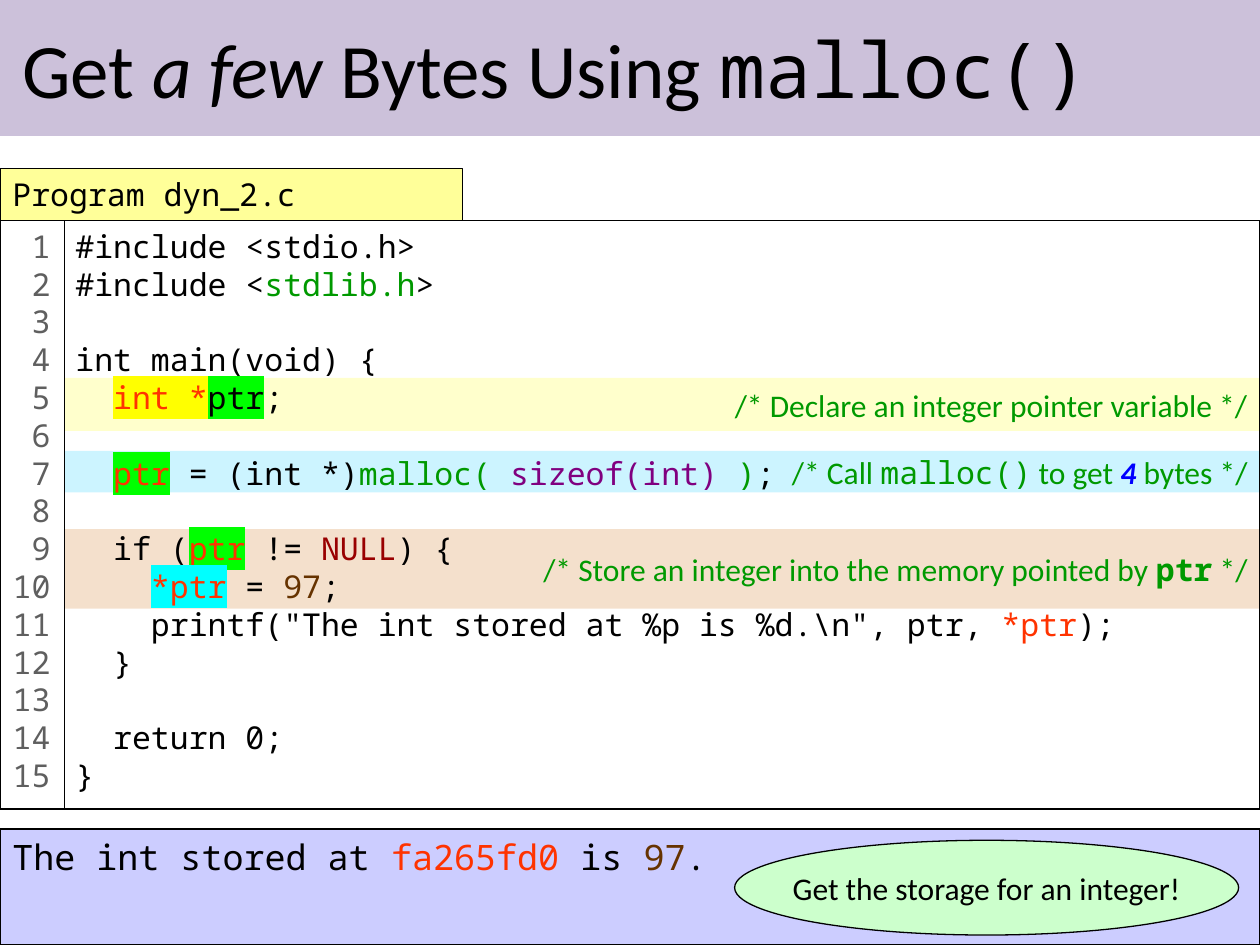
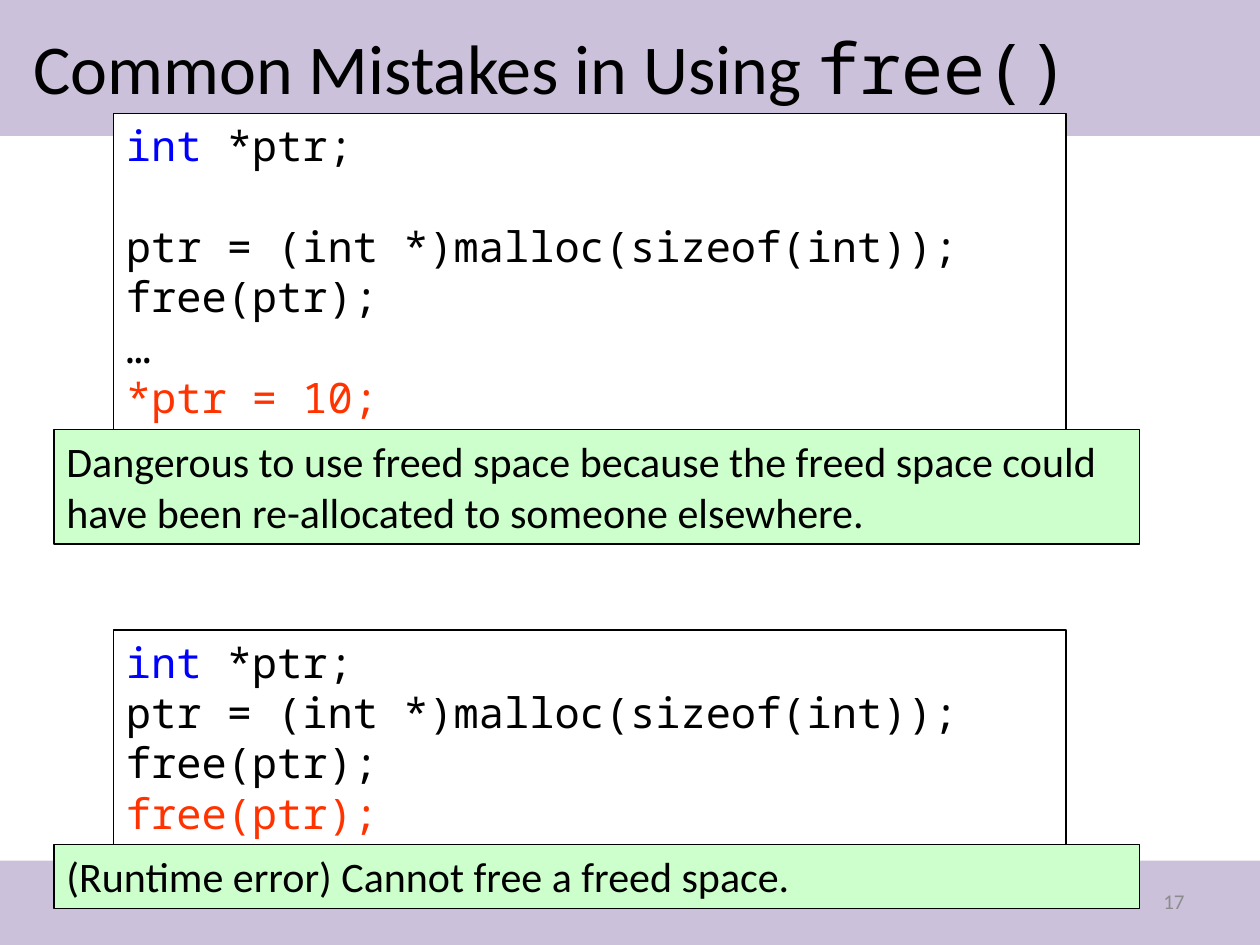
from pptx import Presentation
from pptx.util import Cm, Pt
from pptx.dml.color import RGBColor as Rgb
from pptx.enum.shapes import MSO_SHAPE as Kind
from pptx.enum.text import MSO_ANCHOR as Anchor, PP_ALIGN as Align
from pptx.oxml.ns import qn
from lxml.etree import Element, SubElement

COLORS = {
    "ink": "000000", "paper": "FFFFFF", "band": "CCC1DA", "green": "009900",
    "red": "FF3300", "blue": "0000FF", "purple": "800080", "maroon": "990000",
    "brown": "663300", "gray": "5F5F5F", "pale_gray": "8C8C8C",
    "yellow": "FFFF00", "lime": "00FF00", "aqua": "00FFFF", "sky": "00CCFF",
    "orange": "CC6600", "file_tab": "FFFF99", "output": "CCCDFF", "note": "CCFFCC",
}
SANS = {"name": "Calibri", "size": Pt(18), "color": "ink"}
MONO = {**SANS, "name": "Noto Sans Mono"}
MONO_FACE = {"name": MONO["name"]}
COMMENT = {**SANS, "color": "green"}
BIG_CODE = {**MONO, "size": Pt(24)}
NOTE = {**SANS, "size": Pt(24)}
RED, GREEN, BLUE, BROWN = ({"color": c} for c in ("red", "green", "blue", "brown"))
MARKED = {"color": "red", "mark": "lime"}
LINE_HEIGHT = 1.2


def write(frame, lines, font, align=Align.LEFT, **layout):
    formats = {"word_wrap": True, "vertical_anchor": Anchor.TOP, **layout}
    for attribute, value in formats.items():
        setattr(frame, attribute, value)
    paragraph, gap = frame.paragraphs[0], 0
    for number, line in enumerate(lines):
        if not line:
            gap += font["size"].pt * LINE_HEIGHT
            continue
        if number:
            paragraph = frame.add_paragraph()
            paragraph.space_before = Pt(gap)
        gap = 0
        paragraph.alignment = align
        for piece in line:
            words, change = (piece, {}) if isinstance(piece, str) else piece
            look = {**font, **change}
            color, mark = look.pop("color"), look.pop("mark", None)
            run = paragraph.add_run()
            run.text = words
            for attribute, value in look.items():
                setattr(run.font, attribute, value)
            run.font.color.rgb = Rgb.from_string(COLORS[color])
            if mark:
                highlight = Element(qn("a:highlight"))
                SubElement(highlight, qn("a:srgbClr"), val=COLORS[mark])
                run.font._element.find(qn("a:solidFill")).addnext(highlight)


def panel(slide, place, fill=None, edge=True, kind=Kind.RECTANGLE, opacity=100):
    shape = slide.shapes.add_shape(kind, *map(Cm, place))
    shape.shadow.inherit = False
    if fill:
        shape.fill.solid()
        shape.fill.fore_color.rgb = Rgb.from_string(COLORS[fill])
        if opacity < 100:
            tint = shape.fill._xPr.find(qn("a:solidFill"))[0]
            SubElement(tint, qn("a:alpha"), val=str(opacity * 1000))
    else:
        shape.fill.background()
    if edge:
        shape.line.color.rgb = Rgb.from_string(COLORS["ink"])
        shape.line.width = Pt(0.75)
    else:
        shape.line.fill.background()
    return shape.text_frame


deck = Presentation()
deck.slide_width, deck.slide_height = Cm(25.4), Cm(19.05)

titles = [
    ((0.2, 0.2, 25, 2.34), 44,
     ["Get ", ("a few", {"italic": True}), " Bytes Using ", ("malloc()", MONO_FACE)]),
    ((0.43, 0.36, 24.08, 1.96), 40,
     ["Common Mistakes in Using ", ("free()", MONO_FACE)]),
]
slides = []
for place, size, title in titles:
    slide = deck.slides.add_slide(deck.slide_layouts[6])
    for top, height in ((0, 2.74), (17.35, 1.7)):
        panel(slide, (0, top, 25.4, height), "band", edge=False)
    heading = slide.shapes.add_textbox(*map(Cm, place)).text_frame
    write(heading, [title], {**SANS, "size": Pt(size)}, vertical_anchor=Anchor.MIDDLE)
    slides.append(slide)
malloc_slide, free_slide = slides

comments = [
    (7.62, 1.07, "yellow", ["/* Declare an integer pointer variable */"]),
    (9.09, 0.84, "sky",
     ["/* Call ", ("malloc()", MONO_FACE), " to get ",
      ("4", {"color": "blue", "bold": True, "italic": True}), " bytes */"]),
    (10.67, 1.6, "orange",
     ["/* Store an integer into the memory pointed by ",
      ("ptr", {**MONO_FACE, "bold": True}), " */"]),
]
for top, height, color, comment in comments:
    stripe = panel(malloc_slide, (1.3, top, 24.1, height), color, edge=False, opacity=20)
    write(stripe, [comment], COMMENT, Align.RIGHT, vertical_anchor=Anchor.MIDDLE)

program = [
    ["#include <stdio.h>"],
    ["#include <", ("stdlib.h", GREEN), ">"],
    [],
    ["int main(void) {"],
    ["  ", ("int *", {"color": "red", "mark": "yellow"}), ("ptr", {"mark": "lime"}), ";"],
    [],
    ["  ", ("ptr", MARKED), " = (int *)", ("malloc( ", GREEN),
     ("sizeof(int) ", {"color": "purple"}), (")", GREEN), ";"],
    [],
    ["  if (", ("ptr", MARKED), " != ", ("NULL", {"color": "maroon"}), ") {"],
    ["    ", ("*ptr", {"color": "red", "mark": "aqua"}), " = ", ("97", BROWN), ";"],
    ['    printf("The int stored at %p is %d.\\n", ptr, ', ("*ptr", RED), ");"],
    ["  }"],
    [],
    ["  return 0;"],
    ["}"],
]
listing = panel(malloc_slide, (1.27, 4.45, 24.13, 11.86))
write(listing, program, MONO)

line_numbers = [[str(n)] for n in range(1, len(program) + 1)]
gutter = panel(malloc_slide, (0, 4.45, 1.3, 11.86), "paper")
write(gutter, line_numbers, {**MONO, "color": "gray"}, Align.RIGHT,
      margin_left=0, margin_right=Cm(0.28))

output = panel(malloc_slide, (0, 16.71, 25.4, 2.34), "output")
write(output, [["The int stored at ", ("fa265fd0", RED), " is ", ("97", BROWN), "."]],
      {**MONO, "size": Pt(20)})

file_tab = panel(malloc_slide, (0, 3.4, 9.32, 1.04), "file_tab")
write(file_tab, [["Program dyn_2.c"]], MONO)

callout = panel(malloc_slide, (14.81, 16.94, 10.16, 1.91), "note", kind=Kind.OVAL)
write(callout, [["Get the storage for an integer!"]], SANS, Align.CENTER,
      word_wrap=False, vertical_anchor=Anchor.MIDDLE)

page_number = free_slide.shapes.add_textbox(Cm(18.21), Cm(17.65), Cm(5.92), Cm(1.02))
write(page_number.text_frame, [["17"]],
      {**SANS, "size": Pt(12), "color": "pale_gray"}, Align.RIGHT,
      vertical_anchor=Anchor.MIDDLE)

declare = [("int", BLUE), " *ptr;"]
allocate = ["ptr = (int *)malloc(sizeof(int));"]
release = ["free(ptr);"]
mistakes = [
    (2.29, 6.38, [declare, [], allocate, release, ["…"], [("*ptr = 10;", RED)]],
     8.66, 2.31, "Dangerous to use freed space because the freed space could "
     "have been re-allocated to someone elsewhere."),
    (12.7, 4.34, [declare, allocate, release, [("free(ptr);", RED)]],
     17.02, 1.3, "(Runtime error) Cannot free a freed space."),
]
for code_top, code_height, code, note_top, note_height, warning in mistakes:
    write(panel(free_slide, (2.29, code_top, 19.2, code_height), "paper"), code, BIG_CODE)
    write(panel(free_slide, (1.09, note_top, 21.89, note_height), "note"), [[warning]], NOTE)

deck.save("out.pptx")
